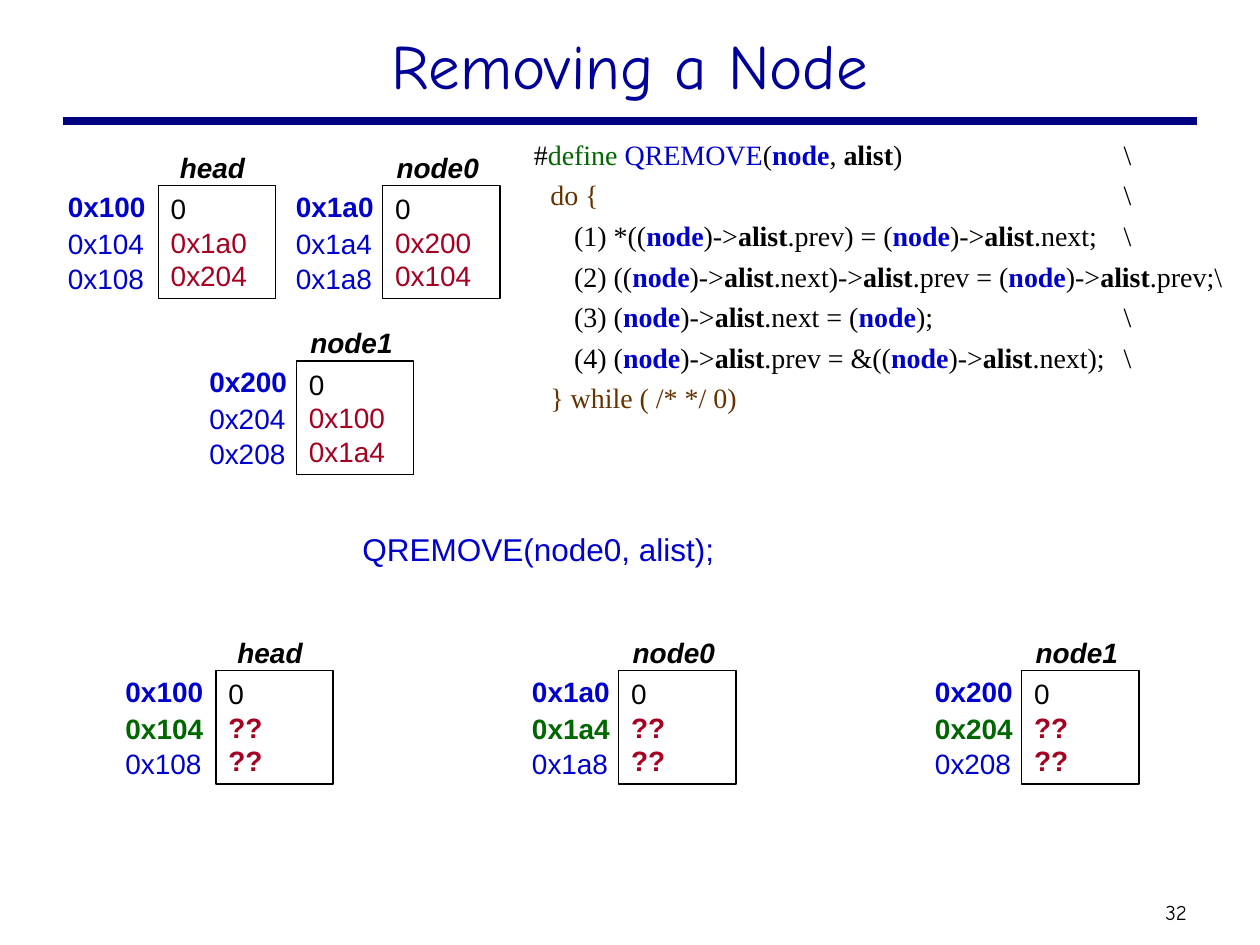
from lxml.etree import SubElement
from pptx import Presentation
from pptx.dml.color import RGBColor
from pptx.enum.shapes import MSO_CONNECTOR as Connector, MSO_SHAPE as Shape
from pptx.enum.text import MSO_ANCHOR as Anchor, MSO_AUTO_SIZE as AutoSize, PP_ALIGN as Align
from pptx.oxml.ns import qn
from pptx.util import Pt

BLACK, BLUE, GREEN, RED, BROWN = "000000", "0000CC", "006600", "A50021", "663300"
SANS, SERIF, HAND = "Arial", "Times New Roman", "Comic Neue"

# Pieces of the macro that carry their own colour and weight
CODE_STYLES = {
    "define ": (GREEN, False), "QREMOVE": (BLUE, False),
    "node": (BLUE, True), "alist": (BLACK, True),
    "do {\t\t\t": (BROWN, False), "} while ( /* */ 0)": (BROWN, False),
}
CODE_LINES = [
    "#|define |QREMOVE|(|node|, |alist|)\t\\",
    "\t|do {\t\t\t|\\",
    "\t\t(1) *((|node|)->|alist|.prev) = (|node|)->|alist|.next;\t\\",
    "\t\t(2) ((|node|)->|alist|.next)->|alist|.prev = (|node|)->|alist|.prev;\\",
    "\t\t(3) (|node|)->|alist|.next = (|node|);\t\\",
    "\t\t(4) (|node|)->|alist|.prev = &((|node|)->|alist|.next);\t\\",
    "\t|} while ( /* */ 0)",
]
CODE_TABS = [9.4, 23, 41, 198, 337]

# Name, address left, box left, box top, addresses, stored links
BEFORE = [
    ("head", 31.7, 90.5, 106, ("0x100", "0x104", "0x108"), ("0x1a0", "0x204")),
    ("node0", 162, 218.7, 106, ("0x1a0", "0x1a4", "0x1a8"), ("0x200", "0x104")),
    ("node1", 112.5, 169.4, 206.3, ("0x200", "0x204", "0x208"), ("0x100", "0x1a4")),
]
AFTER_LEFTS = [(64.6, 123.4), (296.9, 353.6), (527.2, 583.9)]
AFTER_TOP = 383.2


def color(hex_code):
    return RGBColor.from_string(hex_code)


def add_span(para, text, font, size, hex_code, bold=False, italic=False):
    span = para.add_run()
    span.text = text
    span.font.name, span.font.size = font, Pt(size)
    span.font.bold, span.font.italic = bold, italic
    span.font.color.rgb = color(hex_code)


def add_label(shapes, left, top, width, height, text, size, hex_code, **style):
    box = shapes.add_textbox(Pt(left), Pt(top), Pt(width), Pt(height))
    box.text_frame.word_wrap = False
    box.text_frame.auto_size = AutoSize.SHAPE_TO_FIT_TEXT
    add_span(box.text_frame.paragraphs[0], text, SANS, size, hex_code, **style)


def add_rectangle(shapes, left, top, width, height):
    box = shapes.add_shape(Shape.RECTANGLE, Pt(left), Pt(top), Pt(width), Pt(height))
    box.shadow.inherit = False
    box.text_frame.word_wrap = True
    box.text_frame.vertical_anchor = Anchor.TOP
    return box


def add_title(page, left, top, width, height, text):
    title = page.shapes.title
    title.left, title.top, title.width, title.height = map(Pt, (left, top, width, height))
    title.text_frame.vertical_anchor = Anchor.MIDDLE
    para = title.text_frame.paragraphs[0]
    para.alignment = Align.CENTER
    add_span(para, text, HAND, 36, "000099")


def add_rule(page, left, top, width):
    rule = page.shapes.add_connector(
        Connector.STRAIGHT, Pt(left), Pt(top), Pt(left + width), Pt(top))
    rule.line.color.rgb = color("000080")
    rule.line.width = Pt(4.5)
    SubElement(rule._element.spPr, qn("a:effectLst"))


def add_page_number(page, left, top, width, height, text):
    box = page.shapes.add_textbox(Pt(left), Pt(top), Pt(width), Pt(height))
    frame = box.text_frame
    frame.word_wrap = True
    frame.vertical_anchor = Anchor.MIDDLE
    frame.margin_left = frame.margin_right = Pt(3.6)
    frame.paragraphs[0].alignment = Align.CENTER
    add_span(frame.paragraphs[0], text, HAND, 12, BLACK)


def add_node(page, name, address_left, left, top, addresses, links, asked=False):
    """One list node: memory box, name above it, addresses to its left."""
    group = page.shapes.add_group_shape().shapes

    # Memory box
    box = add_rectangle(group, left, top, 67, 64.8)
    box.fill.background()
    box.line.color.rgb = color(BLACK)
    box.line.width = Pt(0.75)
    for index, value in enumerate(("0", *links)):
        frame = box.text_frame
        para = frame.add_paragraph() if index else frame.paragraphs[0]
        para.alignment = Align.LEFT
        add_span(para, value, SANS, 16, RED if index else BLACK,
                 bold=asked and index > 0)

    # Name
    shift, width = (5.2, 56) if name == "head" else (0.9, 61.5)
    add_label(group, left + shift, top - 23.6, width, 26.6, name, 16, BLACK,
              bold=True, italic=True)

    # Addresses
    address_styles = [(BLUE, True), (GREEN, True) if asked else (BLUE, False), (BLUE, False)]
    for address, offset, (hex_code, bold) in zip(addresses, (-1.4, 19.8, 39.8), address_styles):
        add_label(group, address_left, top + offset, 60, 26.6, address, 16, hex_code, bold=bold)


def add_code(page, left, top, width, height):
    box = add_rectangle(page.shapes, left, top, width, height)
    box.fill.solid()
    box.fill.fore_color.rgb = color("FFFFFF")
    box.line.fill.background()
    for index, line in enumerate(CODE_LINES):
        frame = box.text_frame
        para = frame.add_paragraph() if index else frame.paragraphs[0]
        para.alignment = Align.LEFT
        para.space_before = Pt(4)
        tabs = SubElement(para._p.get_or_add_pPr(), qn("a:tabLst"))
        for stop in CODE_TABS:
            SubElement(tabs, qn("a:tab"), pos=str(Pt(stop)), algn="l")
        for text in line.split("|"):
            hex_code, bold = CODE_STYLES.get(text, (BLACK, False))
            add_span(para, text, SERIF, 16, hex_code, bold=bold)


def main():
    deck = Presentation()
    deck.slide_width, deck.slide_height = Pt(720), Pt(540)
    page = deck.slides.add_slide(deck.slide_layouts[5])

    # Heading and page number
    add_rule(page, 36, 69.2, 648)
    add_page_number(page, 655.2, 510.5, 33.8, 21.6, "32")
    add_title(page, 54, 6, 612, 62, "Removing a Node")

    # List before the call, the call, and the list to fill in
    for node in BEFORE:
        add_node(page, *node)
    add_label(page.shapes, 200, 299.5, 215.3, 28.8, "QREMOVE(node0, alist);", 18, BLUE)
    for (name, *_, addresses, _links), (address_left, left) in zip(BEFORE, AFTER_LEFTS):
        add_node(page, name, address_left, left, AFTER_TOP, addresses, ("??", "??"), asked=True)

    # Macro
    add_code(page, 298, 75, 411.8, 175.7)

    deck.save("out.pptx")


if __name__ == "__main__":
    main()
